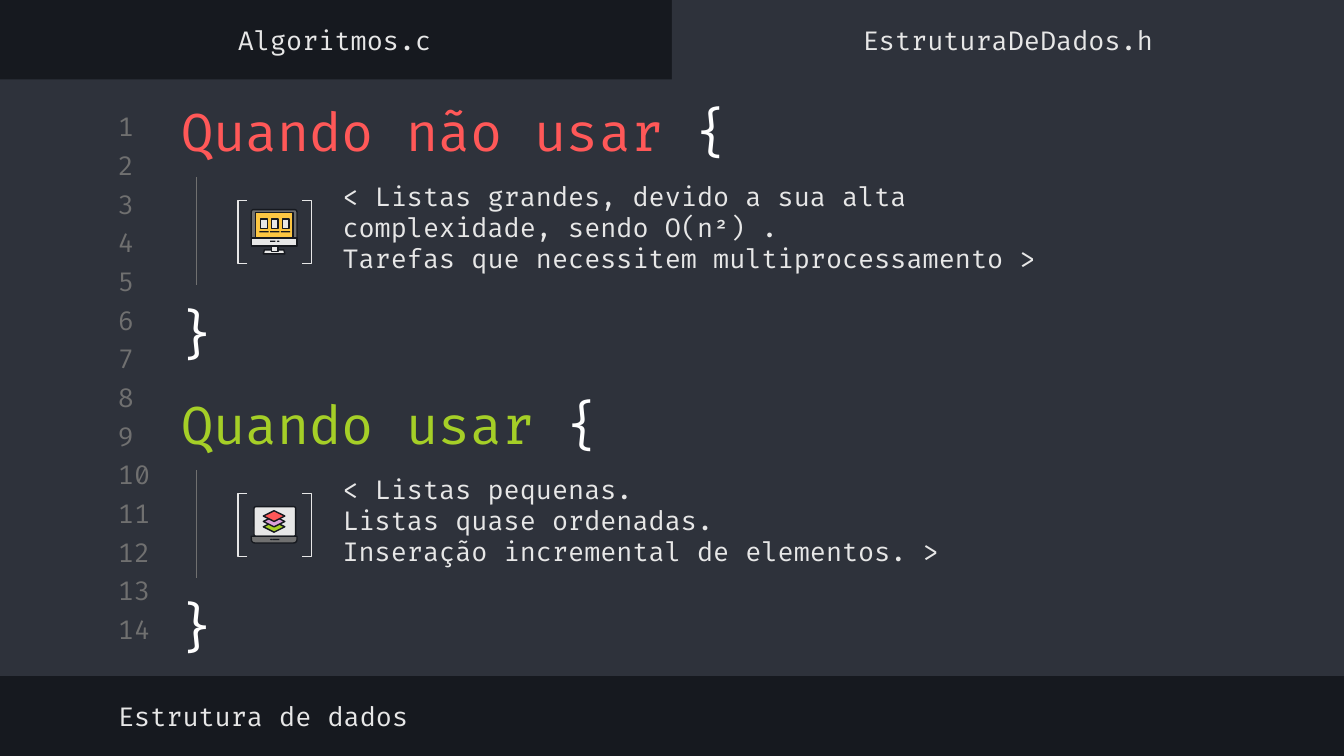
from lxml import etree
from pptx import Presentation
from pptx.dml.color import RGBColor
from pptx.enum.shapes import MSO_CONNECTOR, MSO_SHAPE as Shape
from pptx.enum.text import MSO_ANCHOR as Anchor, PP_ALIGN as Align
from pptx.oxml.ns import qn
from pptx.util import Inches, Pt

color = RGBColor.from_string
DARK, PANEL, GRAY, LIGHT, WHITE = "16191F", "2E323B", "707070", "E7E7E7", "FFFFFF"
RED, GREEN, PINK, YELLOW = "FF5858", "A5CF27", "DBA0DB", "FCC642"

prs = Presentation()
prs.slide_width, prs.slide_height = Inches(10), Inches(10 * 9 / 16)
slide = prs.slides.add_slide(prs.slide_layouts[6])
slide.background.fill.solid()
slide.background.fill.fore_color.rgb = color(DARK)


def add_text(paragraphs, box, size=14, align=Align.LEFT, anchor=Anchor.MIDDLE):
    """Each paragraph is a list of (text, hex colour) runs; a newline in a text is a line break."""
    frame = slide.shapes.add_textbox(*map(Inches, box)).text_frame
    frame.word_wrap = True
    frame.vertical_anchor = anchor
    frame.margin_left = frame.margin_right = Inches(0.1)
    frame.margin_top = frame.margin_bottom = Inches(0.1)
    for index, runs in enumerate(paragraphs):
        paragraph = frame.paragraphs[0] if index == 0 else frame.add_paragraph()
        paragraph.alignment = align
        paragraph.font.size = Pt(size)
        for text, text_color in runs:
            for part, line in enumerate(text.split("\n")):
                if part:
                    paragraph.add_line_break()
                run = paragraph.add_run()
                run.text = line
                run.font.name = "Fira Code"
                run.font.size = Pt(size)
                run.font.color.rgb = color(text_color)


def add_shape(kind, box, fill=None, line=None, adjust=None):
    shape = slide.shapes.add_shape(kind, *map(Inches, box))
    shape.shadow.inherit = False
    if fill:
        shape.fill.solid()
        shape.fill.fore_color.rgb = color(fill)
    else:
        shape.fill.background()
    if line:
        shape.line.color.rgb = color(line)
        shape.line.width = Pt(0.75)
    else:
        shape.line.fill.background()
    if adjust is not None:
        shape.adjustments[0] = adjust
    return shape


# Editor window: panel, active tab, tab names and status bar
add_shape(Shape.RECTANGLE, (0, 0.59, 10, 4.44), PANEL)
add_shape(Shape.RECTANGLE, (5, 0, 5, 0.65), PANEL)
for left, file_name in ((-0.01, "Algoritmos.c"), (5, "EstruturaDeDados.h")):
    add_text([[(file_name, LIGHT)]], (left, 0.1, 5, 0.39), align=Align.CENTER)
add_text([[("Estrutura de dados", LIGHT)]], (0.78, 5.13, 5.32, 0.39))

line_step = (4.56 - 0.82) / 13
for row in range(14):
    add_text([[(str(row + 1), GRAY)]], (0.78, 0.82 + row * line_step, 0.47, 0.24))

# Two code blocks
blocks = [
    ("Quando não usar ", RED,
     ["< Listas grandes, devido a sua alta complexidade, sendo O(n²) . \n"
      "Tarefas que necessitem multiprocessamento >"]),
    ("Quando usar ", GREEN,
     ["< Listas pequenas.", "Listas quase ordenadas.",
      "Inseração incremental de elementos. >"]),
]
for index, (heading, heading_color, body) in enumerate(blocks):
    top = 0.68 + 2.18 * index
    add_text([[(heading, heading_color), ("{", WHITE)]], (1.25, top, 4.44, 0.58), size=28)
    add_text([[(text, LIGHT)] for text in body], (2.45, top + 0.58, 5.62, 0.86))
    add_text([[("}", WHITE)]], (1.19, top + 1.46, 0.55, 0.67), size=28,
             align=Align.CENTER, anchor=Anchor.TOP)
    for bracket, left in ((Shape.LEFT_BRACKET, 1.77), (Shape.RIGHT_BRACKET, 2.25)):
        add_shape(bracket, (left, top + 0.81, 0.07, 0.47), line=LIGHT, adjust=0)
    guide = slide.shapes.add_connector(
        MSO_CONNECTOR.STRAIGHT, Inches(1.46), Inches(top + 0.64), Inches(1.46), Inches(top + 1.44))
    guide.line.color.rgb = color(GRAY)
    guide.line.width = Pt(0.75)
    etree.SubElement(guide._element.spPr, qn("a:effectLst"))

# Desktop monitor icon
add_shape(Shape.TRAPEZOID, (1.96, 1.86, 0.16, 0.03), LIGHT, DARK)
add_shape(Shape.RECTANGLE, (2.02, 1.82, 0.05, 0.05), LIGHT, DARK)
add_shape(Shape.ROUNDED_RECTANGLE, (1.87, 1.56, 0.34, 0.27), GRAY, DARK, 0.06)
add_shape(Shape.RECTANGLE, (1.9, 1.58, 0.28, 0.19), YELLOW, DARK)
add_shape(Shape.RECTANGLE, (1.87, 1.77, 0.34, 0.06), LIGHT, DARK)
for column in range(3):
    left = 1.94 + 0.08 * column
    add_shape(Shape.RECTANGLE, (left, 1.63, 0.05, 0.07), LIGHT, DARK)
    add_shape(Shape.RECTANGLE, (left - 0.01, 1.72, 0.07, 0.01), DARK)
add_shape(Shape.RECTANGLE, (2.01, 1.79, 0.04, 0.01), DARK)
add_shape(Shape.OVAL, (2.06, 1.79, 0.02, 0.01), DARK)

# Laptop icon with stacked layers
add_shape(Shape.ROUNDED_RECTANGLE, (1.89, 3.77, 0.31, 0.22), LIGHT, DARK, 0.06)
laptop_base = add_shape(Shape.ROUND_2_SAME_RECTANGLE, (1.87, 3.99, 0.34, 0.05), GRAY, DARK, 0.5)
laptop_base.rotation = 180
for layer, layer_color in enumerate((GREEN, PINK, RED)):
    add_shape(Shape.DIAMOND, (1.96, 3.88 - 0.04 * layer, 0.16, 0.08), layer_color, DARK)
add_shape(Shape.OVAL, (2.01, 4.01, 0.02, 0.01), DARK)
add_shape(Shape.RECTANGLE, (2.03, 4.01, 0.05, 0.01), DARK)

prs.save("out.pptx")
